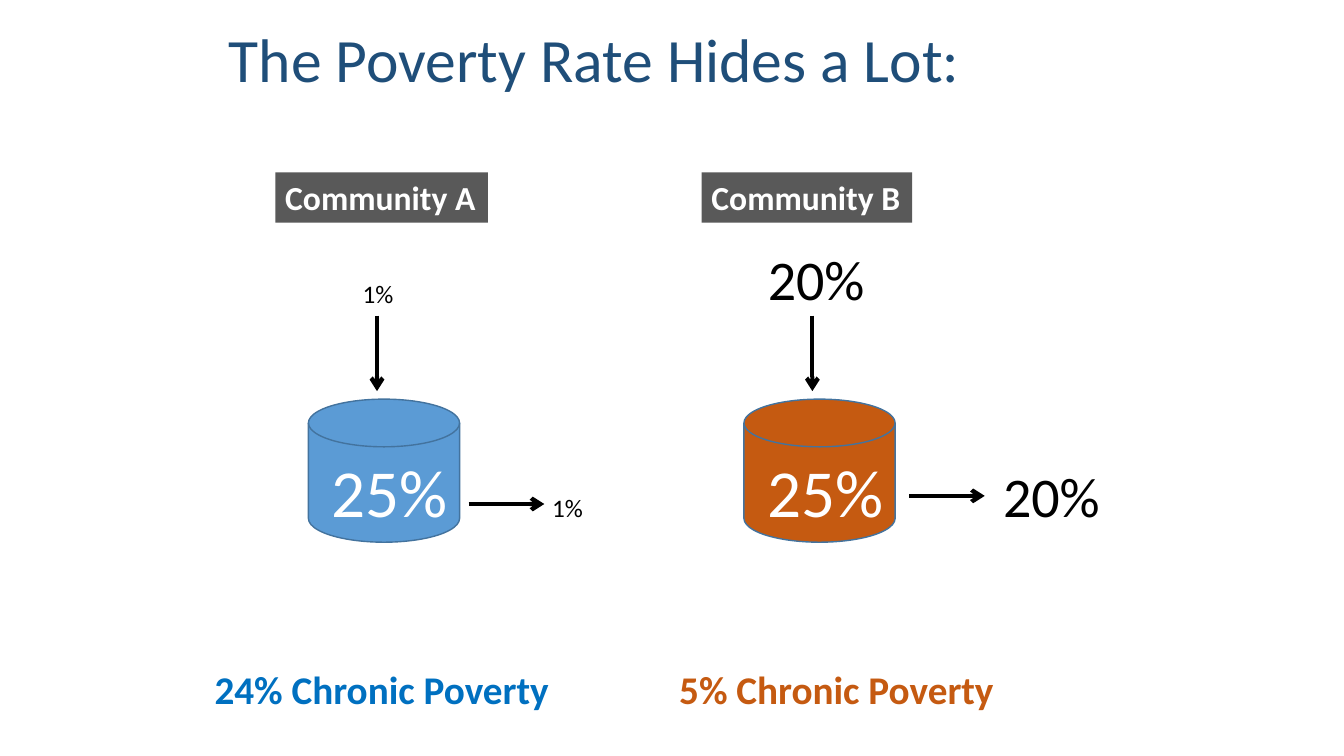
from dataclasses import dataclass

from lxml import etree
from pptx import Presentation
from pptx.dml.color import RGBColor
from pptx.enum import dml, shapes, text
from pptx.oxml import ns
from pptx.util import Pt


@dataclass(frozen=True)
class Theme:
    font: str = "Calibri"
    title: str = "1F4E79"
    ink: str = "000000"
    light: str = "FFFFFF"
    tag: str = "595959"
    disk_edge: str = "43739E"
    title_size: int = 44
    rate_size: int = 48
    large_flow_size: int = 40
    small_flow_size: int = 18
    tag_size: int = 24
    chronic_size: int = 28


@dataclass(frozen=True)
class Community:
    """Offsets of the two flows are measured from the disk's left edge."""
    name: str
    tag_left: float
    tag_width: float
    disk_left: float
    disk_color: str
    flow: str
    flow_size: int
    inflow_at: tuple
    inflow_dx: float
    outflow_at: tuple
    stock_left: float
    stock_width: float
    outflow_tab: float
    chronic: str
    chronic_left: float
    chronic_width: float
    chronic_color: str


THEME = Theme()
RATE = "25%"
ARROW_LENGTH = 54
DISK_TOP, DISK_WIDTH, DISK_HEIGHT = 285.1, 108, 102.2
COMMUNITIES = [
    Community("Community A", 196.6, 151.9, 220.3, "5B9BD5",
              "1%", THEME.small_flow_size, (252, 195.1, 41, 28.8), 49,
              (334.8, 360), 229.7, 197.3, 157.7,
              "24% Chronic Poverty", 146.2, 256.3, "0070C0"),
    Community("Community B", 501.1, 150.5, 531.4, "C55A11",
              "20%", THEME.large_flow_size, (541.4, 171.4, 93.6, 55.4), 48.9,
              (649.4, 354.2), 541.4, 256.3, 168,
              "5% Chronic Poverty", 478.1, 241.9, "C55A11"),
]


def rgb(color):
    return RGBColor.from_string(color)


def points(*lengths):
    return [Pt(length) for length in lengths]


def write(paragraph, words, size, color=THEME.ink, bold=False):
    run = paragraph.add_run()
    run.text = words
    run.font.name = THEME.font
    run.font.size = Pt(size)
    run.font.bold = bold
    run.font.color.rgb = rgb(color)


def add_label(slide, words, box, **style):
    label = slide.shapes.add_textbox(*points(*box))
    write(label.text_frame.paragraphs[0], words, **style)


def add_filled(slide, kind, box, fill):
    filled = slide.shapes.add_shape(kind, *points(*box))
    filled.shadow.inherit = False
    filled.fill.solid()
    filled.fill.fore_color.rgb = rgb(fill)
    return filled


def add_arrow(slide, x1, y1, x2, y2):
    arrow = slide.shapes.add_connector(
        shapes.MSO_CONNECTOR.STRAIGHT, *points(x1, y1, x2, y2))
    arrow.line.color.rgb = rgb(THEME.ink)
    arrow.line.width = Pt(3)
    arrow.line.dash_style = dml.MSO_LINE.SOLID
    etree.SubElement(arrow.line._get_or_add_ln(), ns.qn("a:tailEnd"), type="arrow")
    etree.SubElement(arrow._element.spPr, ns.qn("a:effectLst"))


def add_tag(slide, community):
    tag = add_filled(slide, shapes.MSO_SHAPE.RECTANGLE,
                     (community.tag_left, 123.1, community.tag_width, 36), THEME.tag)
    tag.line.fill.background()
    tag.text_frame.word_wrap = False
    tag.text_frame.vertical_anchor = text.MSO_ANCHOR.TOP
    caption = tag.text_frame.paragraphs[0]
    caption.alignment = text.PP_ALIGN.LEFT
    write(caption, community.name, THEME.tag_size, THEME.light, bold=True)


def add_stock(slide, community):
    """Disk with its rate, and the outflow's share on the same line of text."""
    disk = add_filled(slide, shapes.MSO_SHAPE.FLOWCHART_MAGNETIC_DISK,
                      (community.disk_left, DISK_TOP, DISK_WIDTH, DISK_HEIGHT),
                      community.disk_color)
    disk.line.color.rgb = rgb(THEME.disk_edge)
    disk.line.width = Pt(1)

    rates = slide.shapes.add_textbox(
        *points(community.stock_left, 318.2, community.stock_width, 65.5))
    rates.text_frame.word_wrap = True
    row = rates.text_frame.paragraphs[0]
    tabs = etree.SubElement(row._p.get_or_add_pPr(), ns.qn("a:tabLst"))
    etree.SubElement(tabs, ns.qn("a:tab"), pos=str(Pt(community.outflow_tab)), algn="l")
    write(row, RATE + "\t", THEME.rate_size, THEME.light)
    write(row, community.flow, community.flow_size)


def add_community(slide, community):
    inflow_x = community.disk_left + community.inflow_dx
    out_x, out_y = community.outflow_at
    add_arrow(slide, inflow_x, 225.4, inflow_x, 225.4 + ARROW_LENGTH)
    add_arrow(slide, out_x, out_y, out_x + ARROW_LENGTH, out_y)
    add_label(slide, community.flow, community.inflow_at, size=community.flow_size)
    add_stock(slide, community)
    add_tag(slide, community)
    add_label(slide, community.chronic,
              (community.chronic_left, 471.6, community.chronic_width, 41),
              size=THEME.chronic_size, color=community.chronic_color, bold=True)


def set_title(slide, words):
    title = slide.shapes.title
    title.left, title.top, title.width, title.height = points(156.2, 0, 648, 90)
    title.text_frame.vertical_anchor = text.MSO_ANCHOR.MIDDLE
    heading = title.text_frame.paragraphs[0]
    heading.alignment = text.PP_ALIGN.LEFT
    heading.line_spacing = 0.9
    write(heading, words, THEME.title_size, THEME.title)


def main():
    deck = Presentation()
    deck.slide_width, deck.slide_height = points(960, 540)
    slide = deck.slides.add_slide(deck.slide_layouts[5])
    set_title(slide, "The Poverty Rate Hides a Lot:")
    for community in COMMUNITIES:
        add_community(slide, community)
    deck.save("out.pptx")


if __name__ == "__main__":
    main()
